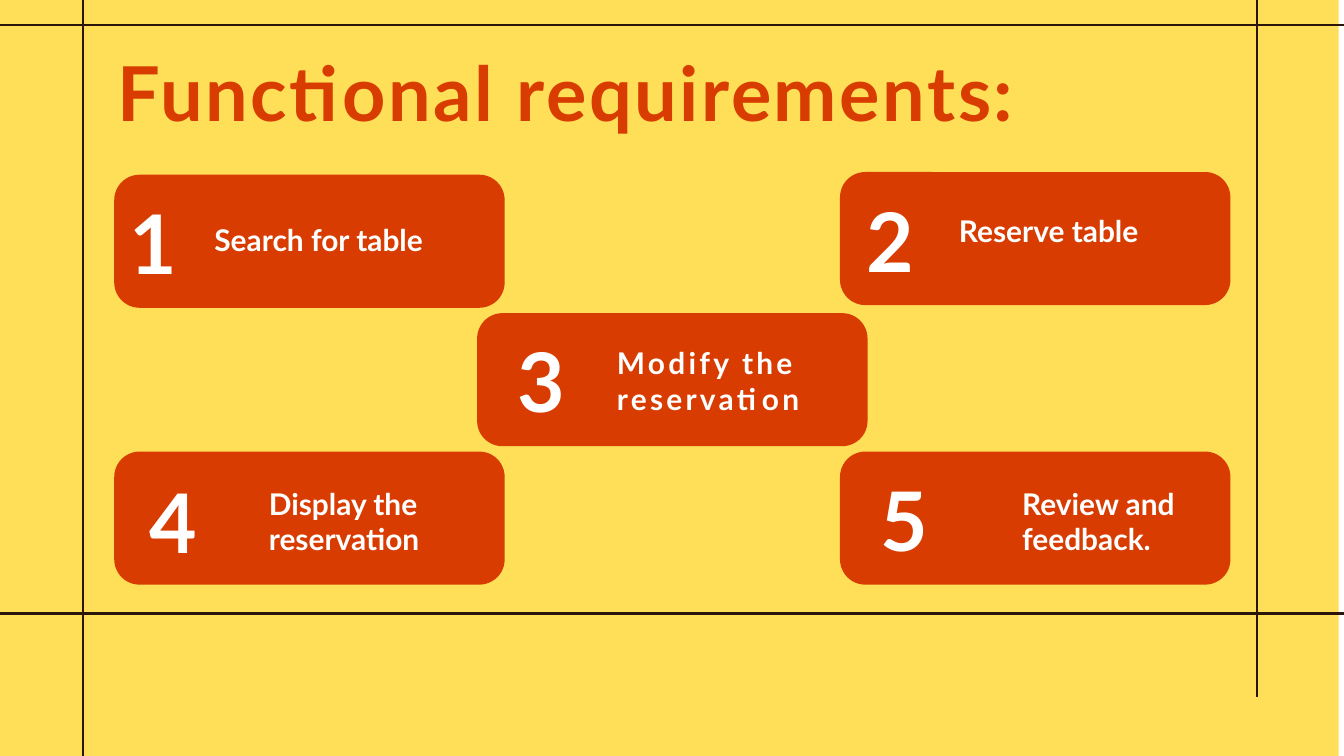
from lxml.etree import SubElement
from pptx import Presentation
from pptx.dml.color import RGBColor
from pptx.enum.shapes import MSO_CONNECTOR as Connector, MSO_SHAPE as Shape
from pptx.enum.text import MSO_AUTO_SIZE as AutoSize
from pptx.oxml.ns import qn
from pptx.util import Pt

PX = 9144  # EMU per px, 100 px to the inch
SLIDE_W, SLIDE_H = 2000, 1125
CARD_W, CARD_H = 581, 198
LEFT, MIDDLE, RIGHT = 170, 710, 1250
COLORS = {"paper": "FFDE58", "rule": "291609", "accent": "D83C00", "light": "FFFFFF"}

# number, label, card left and top, number offset, label offset, label size, spacing
CARDS = [
    ("1", "Search for table", (LEFT, 260), (23, 24), (149, 68), (434, 110), 0),
    ("2", "Reserve table", (RIGHT, 256), (40, 26), (177, 59), (323, 110), 0),
    ("3", "Modify the reservation", (MIDDLE, 466), (60, 24), (208, 45), (482, 109), 3.5),
    ("4", "Display the reservation", (LEFT, 672), (53, 28), (230, 48), (348, 109), 0),
    ("5", "Review and feedback.", (RIGHT, 672), (60, 25), (271, 48), (348, 164), 0),
]


def px(*lengths):
    return [length * PX for length in lengths]


def color(name):
    return RGBColor.from_string(COLORS[name])


def add_text(slide, text, box, size, fill="light", spacing=0):
    """Bold text in a box without side margins; spacing is in points."""
    textbox = slide.shapes.add_textbox(*px(*box))
    frame = textbox.text_frame
    frame.word_wrap = True
    frame.auto_size = AutoSize.SHAPE_TO_FIT_TEXT
    frame.margin_left = frame.margin_right = frame.margin_bottom = 0
    frame.margin_top = 2 * PX
    run = frame.paragraphs[0].add_run()
    run.text = text
    font = run.font
    font.name, font.size, font.bold = "Lato", Pt(size), True
    font.color.rgb = color(fill)
    if spacing:
        run._r.get_or_add_rPr().set("spc", str(round(spacing * 100)))


def add_block(slide, kind, box, fill):
    block = slide.shapes.add_shape(kind, *px(*box))
    block.shadow.inherit = False
    block.fill.solid()
    block.fill.fore_color.rgb = color(fill)
    block.line.fill.background()
    return block


def add_rule(slide, start, end):
    rule = slide.shapes.add_connector(Connector.STRAIGHT, *px(*start, *end))
    rule.line.color.rgb = color("rule")
    rule.line.width = Pt(2.4)
    SubElement(rule._element.spPr, qn("a:effectLst"))


def add_backdrop(slide):
    """Yellow paper, short of the right edge, with two rules each way."""
    add_block(slide, Shape.RECTANGLE, (0, 0, SLIDE_W - 8, SLIDE_H), "paper")
    for x, bottom in ((124, SLIDE_H), (1870, 1037)):
        add_rule(slide, (x, 0), (x, bottom))
    for y in (37, 913):
        add_rule(slide, (0, y), (SLIDE_W, y))


def add_card(slide, box, number, label, number_at, label_at, label_size, spacing):
    left, top = box[:2]
    card = add_block(slide, Shape.ROUNDED_RECTANGLE, box, "accent")
    card.adjustments[0] = 0.19
    add_text(slide, label, (left + label_at[0], top + label_at[1], *label_size),
             32, spacing=spacing)
    add_text(slide, number, (left + number_at[0], top + number_at[1], 348, 149),
             88, spacing=3.5)


def main():
    deck = Presentation()
    deck.slide_width, deck.slide_height = px(SLIDE_W, SLIDE_H)
    slide = deck.slides.add_slide(deck.slide_layouts[6])
    add_backdrop(slide)
    add_text(slide, "Functional requirements:", (175, 66, 1617, 138), 81,
             fill="accent", spacing=2.8)
    for number, label, corner, *placing in CARDS:
        add_card(slide, (*corner, CARD_W, CARD_H), number, label, *placing)
    deck.save("out.pptx")


if __name__ == "__main__":
    main()
